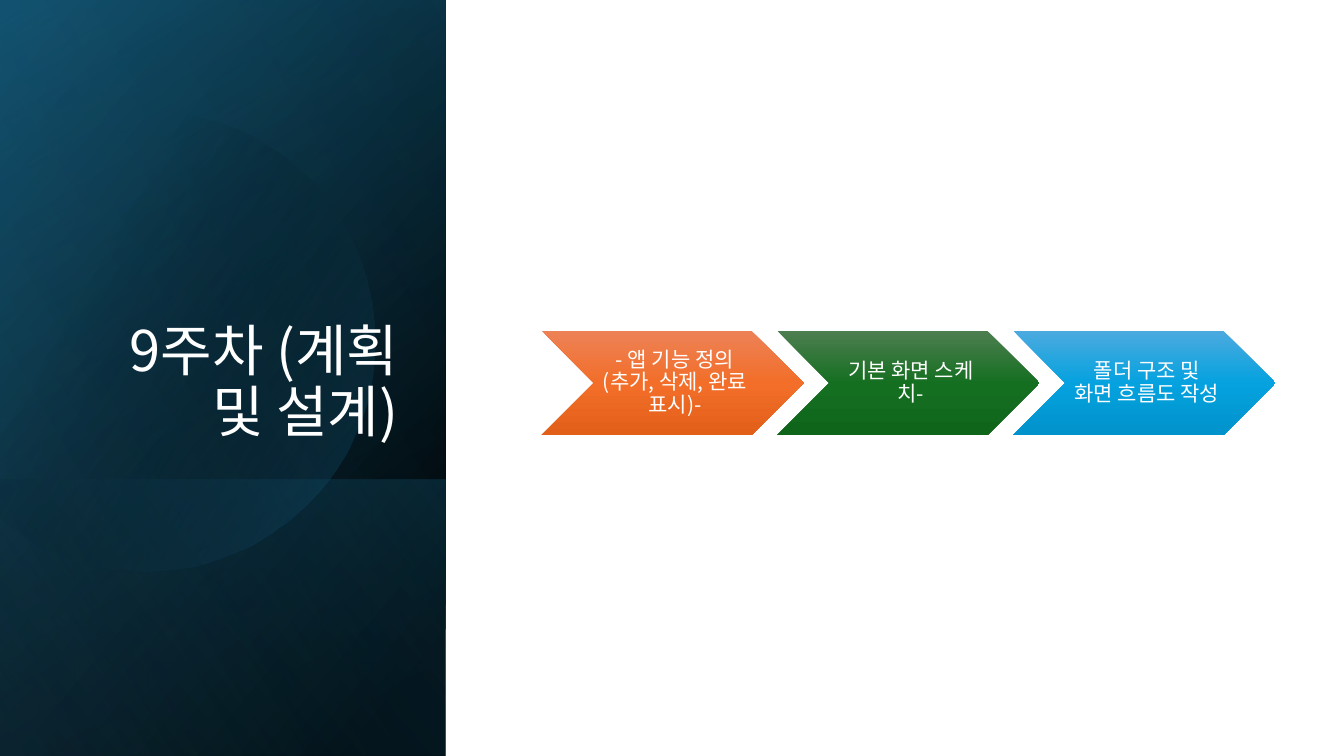
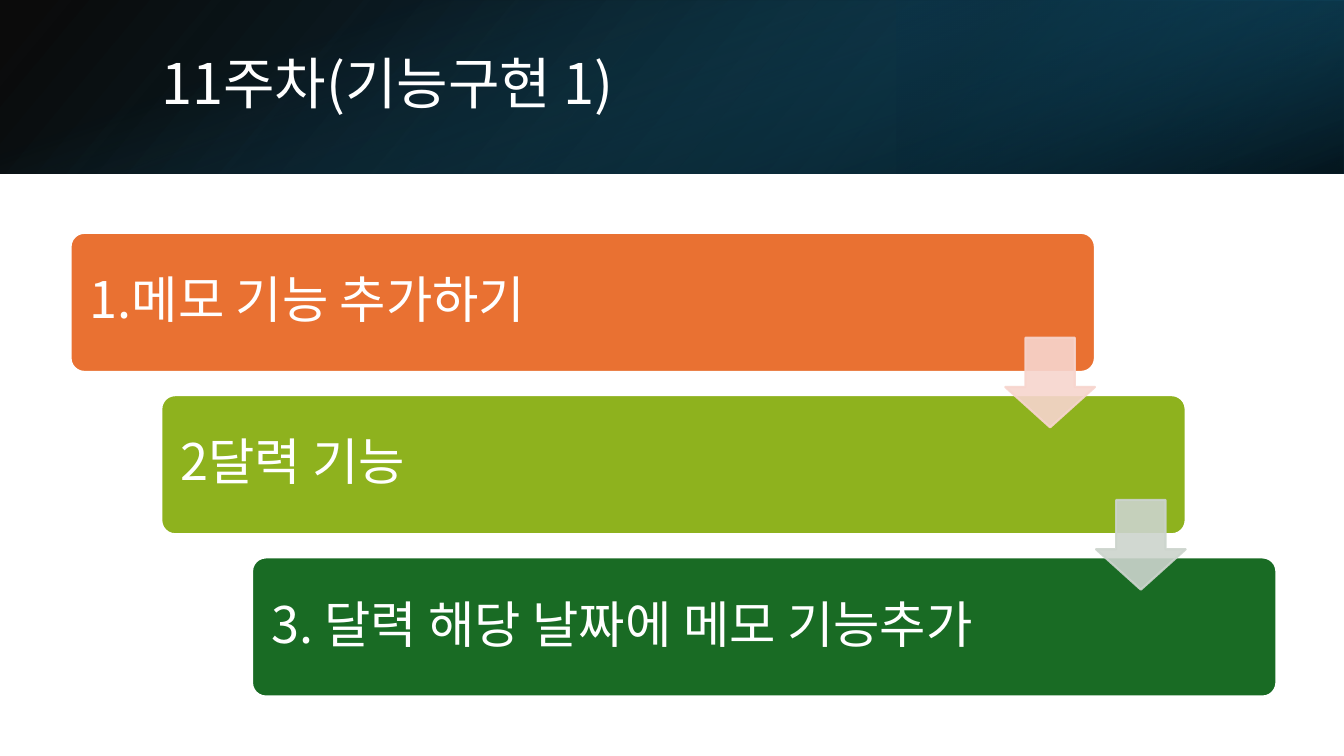
from pptx import Presentation
from pptx.dml.color import RGBColor
from pptx.enum.shapes import MSO_SHAPE
from pptx.enum.text import MSO_ANCHOR, MSO_AUTO_SIZE, PP_ALIGN
from pptx.oxml import parse_xml
from pptx.oxml.ns import nsdecls, qn
from pptx.util import Pt
from lxml.etree import SubElement

PX = 9144
FONT = "Noto Sans CJK KR"
COLORS = {
    "white": "FFFFFF", "black": "000000", "navy": "104862", "teal": "156082",
    "deep": "0B3041", "sky": "46B1E1", "orange": "E97132", "lime": "8EB21E",
    "green": "196B24", "pink": "F7D5CE", "gray": "CCD4CD",
    "orange1": "ED8257", "orange2": "F26E29", "orange3": "E25F1A",
    "green1": "4D7E50", "green2": "156F21", "green3": "0F661B",
    "blue1": "4CAADF", "blue2": "05A2DF", "blue3": "0092CB",
}
TITLE = {"size": 40, "insets": (10, 5, 10, 5)}

PLAN = {
    "title": "9주차 (계획 및 설계)",
    "box": (64, 184, 341, 262),
    "format": {"anchor": MSO_ANCHOR.BOTTOM, "align": PP_ALIGN.RIGHT},
    "under": [
        ((0, 0, 442, 750), 90, True, 50, [(8, "black", 100), (100, "navy", 100)]),
        ((0, 0, 442, 750), 90, True, 30, [(0, "black", 0), (99, "teal", 46)]),
        ((0, 476, 442, 274), 90, True, 130, [(2, "teal", 29), (100, "black", 30)]),
    ],
    "over": [
        ((0, 0, 442, 750), 90, True, 120, [(0, "black", 0), (99, "sky", 11)]),
    ],
}
DISC_START = (149, 110)
DISC_CURVES = [
    ((246, 112), (335, 177), (363, 275)),
    ((398, 397), (328, 523), (207, 558)),
    ((131, 580), (53, 561), (0, 514)),
    ((0, 514), (0, 161), (0, 161)),
    ((23, 142), (50, 128), (80, 119)),
    ((103, 113), (126, 110), (149, 110)),
]
DISC_STOPS = [(29, "black", 0), (100, "teal", 43)]
CHEVRONS = [
    ("- 앱 기능 정의 (추가, 삭제, 완료 표시)-", "orange"),
    ("기본 화면 스케치-", "green"),
    ("폴더 구조 및 화면 흐름도 작성", "blue"),
]

BUILD = {
    "title": "11주차(기능구현 1)",
    "box": (150, 38, 1098, 96),
    "format": {"anchor": MSO_ANCHOR.MIDDLE, "align": PP_ALIGN.LEFT},
    "under": [
        ((0, 0, 1333, 172), 0, True, 140, [(0, "black", 96), (100, "navy", 100)]),
        ((889, 0, 444, 172), 180, True, 320, [(19, "deep", 68), (100, "teal", 79)]),
        ((0, 0, 1333, 172), 90, False, 340, [(23, "teal", 0), (99, "black", 74)]),
    ],
    "over": [],
}
STEPS = [
    ("1.메모 기능 추가하기", "orange"),
    ("2달력 기능", "lime"),
    ("3. 달력 해당 날짜에 메모 기능추가", "green"),
]
ARROWS = ["pink", "gray"]


def rgb(name):
    return RGBColor.from_string(COLORS[name])


def gradient(sp, stops, angle):
    sp.fill.background()
    gs = "".join(
        f'<a:gs pos="{pos * 1000}"><a:srgbClr val="{COLORS[name]}">'
        f'<a:alpha val="{alpha * 1000}"/></a:srgbClr></a:gs>'
        for pos, name, alpha in stops)
    grad = parse_xml(
        f'<a:gradFill {nsdecls("a")} rotWithShape="1"><a:gsLst>{gs}</a:gsLst>'
        f'<a:lin ang="{angle * 60000}" scaled="0"/></a:gradFill>')
    spPr = sp.element.spPr
    spPr.replace(spPr.find(qn("a:noFill")), grad)


def add_shape(slide, kind, box, adjustments=()):
    sp = slide.shapes.add_shape(kind, *(v * PX for v in box))
    sp.shadow.inherit = False
    sp.line.fill.background()
    for i, value in enumerate(adjustments):
        sp.adjustments[i] = value
    return sp


def add_band(slide, box, rotation, flip, angle, stops):
    x, y, w, h = box
    if rotation == 90:
        x, y, w, h = x + (w - h) / 2, y + (h - w) / 2, h, w
    sp = add_shape(slide, MSO_SHAPE.RECTANGLE, (int(x), int(y), w, h))
    sp.rotation = rotation
    if flip:
        sp.element.spPr.find(qn("a:xfrm")).set("flipH", "1")
    gradient(sp, stops, angle)


def put_text(sp, text, size, insets, anchor=MSO_ANCHOR.MIDDLE, align=PP_ALIGN.LEFT):
    tf = sp.text_frame
    sides = ("margin_left", "margin_top", "margin_right", "margin_bottom")
    frame = {"word_wrap": True, "auto_size": MSO_AUTO_SIZE.NONE, "vertical_anchor": anchor}
    frame.update(zip(sides, (v * PX for v in insets)))
    p = tf.paragraphs[0]
    r = p.add_run()
    r.text = text
    r.font.color.rgb = rgb("white")
    formats = [
        (tf, frame),
        (p, {"alignment": align, "line_spacing": 0.9}),
        (r.font, {"name": FONT, "size": Pt(size)}),
    ]
    for target, values in formats:
        for name, value in values.items():
            setattr(target, name, value)
    SubElement(r.font._element, qn("a:ea")).set("typeface", FONT)


def add_title(slide, page):
    sp = slide.shapes.title
    sp.left, sp.top, sp.width, sp.height = (v * PX for v in page["box"])
    put_text(sp, page["title"], **TITLE, **page["format"])
    sp.element.getparent().append(sp.element)


def curve_points(start, curves, count=16):
    for a, b, end in curves:
        for i in range(1, count + 1):
            t = i / count
            u = 1 - t
            yield tuple(
                u ** 3 * s + 3 * u * u * t * c + 3 * u * t * t * d + t ** 3 * e
                for s, c, d, e in zip(start, a, b, end))
        start = end


def add_disc(slide):
    builder = slide.shapes.build_freeform(*DISC_START, scale=PX)
    builder.add_line_segments(list(curve_points(DISC_START, DISC_CURVES)), close=True)
    sp = builder.convert_to_shape()
    sp.shadow.inherit = False
    sp.line.fill.background()
    gradient(sp, DISC_STOPS, 30)


def add_chevrons(slide):
    for i, (text, hue) in enumerate(CHEVRONS):
        sp = add_shape(slide, MSO_SHAPE.CHEVRON, (537 + 234 * i, 328, 260, 104))
        gradient(sp, [(50 * n, f"{hue}{n + 1}", 100) for n in range(3)], 90)
        put_text(sp, text, 15, (7, 2, 2, 2), align=PP_ALIGN.CENTER)


def add_steps(slide):
    places = [(70 + 90 * i, 231 + 161 * i) for i in range(len(STEPS))]
    for (x, y), (text, color) in zip(places, STEPS):
        sp = add_shape(slide, MSO_SHAPE.ROUNDED_RECTANGLE, (x, y, 1016, 138), [0.1])
        sp.fill.solid()
        sp.fill.fore_color.rgb = rgb(color)
        sp.line.color.rgb = rgb("white")
        sp.line.width = Pt(1.5)
        put_text(sp, text, 36, (15, 15, 15, 15))
    for (x, y), color in zip(places, ARROWS):
        sp = add_shape(slide, MSO_SHAPE.DOWN_ARROW, (x + 927, y + 104, 89, 89), [0.55, 0.45])
        sp.fill.solid()
        sp.fill.fore_color.rgb = rgb(color)
        sp.line.color.rgb = rgb(color)
        sp.line.width = Pt(1.5)
        for clr in sp.element.spPr.iter(qn("a:srgbClr")):
            SubElement(clr, qn("a:alpha")).set("val", "90000")


def add_page(prs, page, middle=()):
    slide = prs.slides.add_slide(prs.slide_layouts[5])
    for band in page["under"]:
        add_band(slide, *band)
    for draw in middle:
        draw(slide)
    for band in page["over"]:
        add_band(slide, *band)
    add_title(slide, page)
    return slide


def main():
    prs = Presentation()
    prs.slide_width, prs.slide_height = 1333 * PX, 750 * PX
    add_chevrons(add_page(prs, PLAN, [add_disc]))
    add_steps(add_page(prs, BUILD))
    prs.save("out.pptx")


if __name__ == "__main__":
    main()
